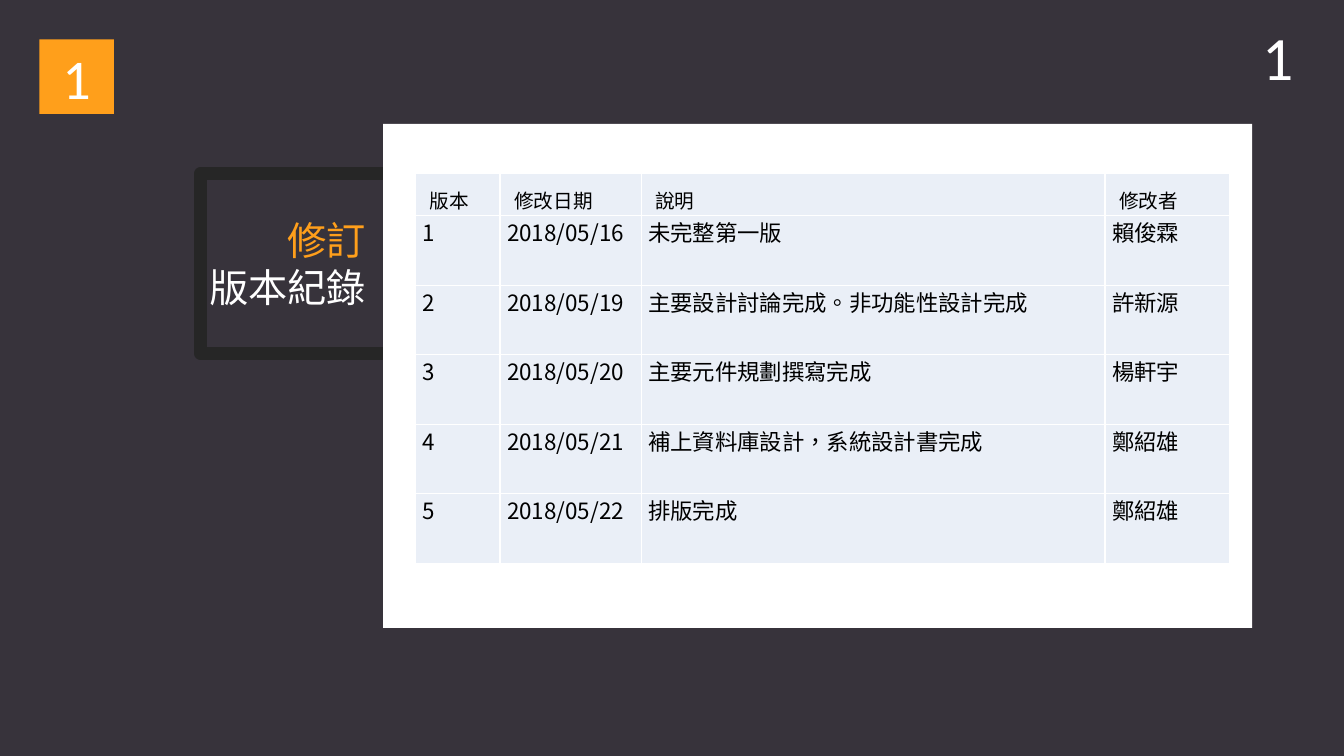
from pptx import Presentation
from pptx import util as u
from pptx.dml.color import RGBColor
from pptx.enum import lang, shapes, text
from pptx.oxml.ns import qn

# Content
TITLE = [("修訂", "FF9F1B"), ("版本紀錄", "FFFFFF")]
SECTION = "1"
PAGE = "1"
REVISIONS = [
    ("版本", "修改日期", "說明", "修改者"),
    ("1", "2018/05/16", "未完整第一版", "賴俊霖"),
    ("2", "2018/05/19", "主要設計討論完成。非功能性設計完成", "許新源"),
    ("3", "2018/05/20", "主要元件規劃撰寫完成", "楊軒宇"),
    ("4", "2018/05/21", "補上資料庫設計，系統設計書完成", "鄭紹雄"),
    ("5", "2018/05/22", "排版完成", "鄭紹雄"),
]
COLUMNS = [0.84, 1.4, 4.6, 1.24]
HEADER_HEIGHT, ROW_HEIGHT = 0.42, 0.69
LATIN, CJK = "Calibri", "Noto Sans CJK SC"


def color(value):
    return RGBColor.from_string(value)


def add_run(p, words, size, font, fill):
    r = p.add_run()
    r.text = words
    r.font.size = u.Pt(size)
    r.font.name = font
    r.font.color.rgb = color(fill)
    r.font.language_id = lang.MSO_LANGUAGE_ID.TRADITIONAL_CHINESE
    if font == CJK:
        ea = r._r.get_or_add_rPr().makeelement(qn("a:ea"), {"typeface": font})
        r.font._rPr.find(qn("a:latin")).addnext(ea)


def add_box(left, top, width, height, fill=None):
    sp = s.shapes.add_shape(shapes.MSO_SHAPE.RECTANGLE, u.Inches(left),
                            u.Inches(top), u.Inches(width), u.Inches(height))
    sp.shadow.inherit = False
    sp.line.fill.background()
    if fill:
        sp.fill.solid()
        sp.fill.fore_color.rgb = color(fill)
    else:
        sp.fill.background()
    return sp


prs = Presentation()
prs.slide_width, prs.slide_height = u.Inches(13.33), u.Inches(7.5)
s = prs.slides.add_slide(prs.slide_layouts[5])
s.background.fill.solid()
s.background.fill.fore_color.rgb = color("37333B")

# Frame, section badge and white panel
frame = add_box(1.99, 1.72, 2.06, 1.79)
frame.line.color.rgb = color("262626")
frame.line.width = u.Pt(9)

badge = add_box(0.39, 0.39, 0.74, 0.74, "FF9F1B")
tf = badge.text_frame
tf.vertical_anchor = text.MSO_ANCHOR.MIDDLE
tf.paragraphs[0].alignment = text.PP_ALIGN.CENTER
add_run(tf.paragraphs[0], SECTION, 40, LATIN, "FFFFFF")

add_box(3.8, 1.23, 8.62, 5, "FFFFFF")

# Title
title = s.shapes.title
title.left, title.top = u.Inches(1.96), u.Inches(2.1)
title.width, title.height = u.Inches(1.77), u.Inches(1.04)
tf = title.text_frame
tf.word_wrap = False
tf.auto_size = text.MSO_AUTO_SIZE.SHAPE_TO_FIT_TEXT
tf.vertical_anchor = text.MSO_ANCHOR.TOP
for i, (words, fill) in enumerate(TITLE):
    p = tf.add_paragraph() if i else tf.paragraphs[0]
    p.alignment = text.PP_ALIGN.RIGHT
    add_run(p, words, 28, LATIN, fill)

# Revision table
table_height = HEADER_HEIGHT + ROW_HEIGHT * (len(REVISIONS) - 1)
table = s.shapes.add_table(len(REVISIONS), len(COLUMNS), u.Inches(4.12), u.Inches(1.72),
                           u.Inches(sum(COLUMNS)), u.Inches(table_height)).table
table.first_row = table.horz_banding = False
for column, width in zip(table.columns, COLUMNS):
    column.width = u.Inches(width)
for i, revision in enumerate(REVISIONS):
    header = i == 0
    table.rows[i].height = u.Inches(HEADER_HEIGHT if header else ROW_HEIGHT)
    for cell, words in zip(table.rows[i].cells, revision):
        cell.fill.solid()
        cell.fill.fore_color.rgb = color("EAEFF7")
        cell.margin_left = cell.margin_right = u.Inches(0.07)
        cell.margin_top = cell.margin_bottom = 0
        p = cell.text_frame.paragraphs[0]
        if header:
            p.line_spacing = 1.42
            p._p.get_or_add_pPr().set("marL", str(u.Inches(0.07)))
        add_run(p, words, 14 if header else 16, CJK, "000000")

# Page number
page = s.shapes.add_textbox(u.Inches(12.42), u.Inches(0.14), u.Inches(1.09), u.Inches(0.84))
tf = page.text_frame
tf.word_wrap = True
tf.auto_size = text.MSO_AUTO_SIZE.SHAPE_TO_FIT_TEXT
add_run(tf.paragraphs[0], PAGE, 44, LATIN, "FFFFFF")

prs.save("out.pptx")
